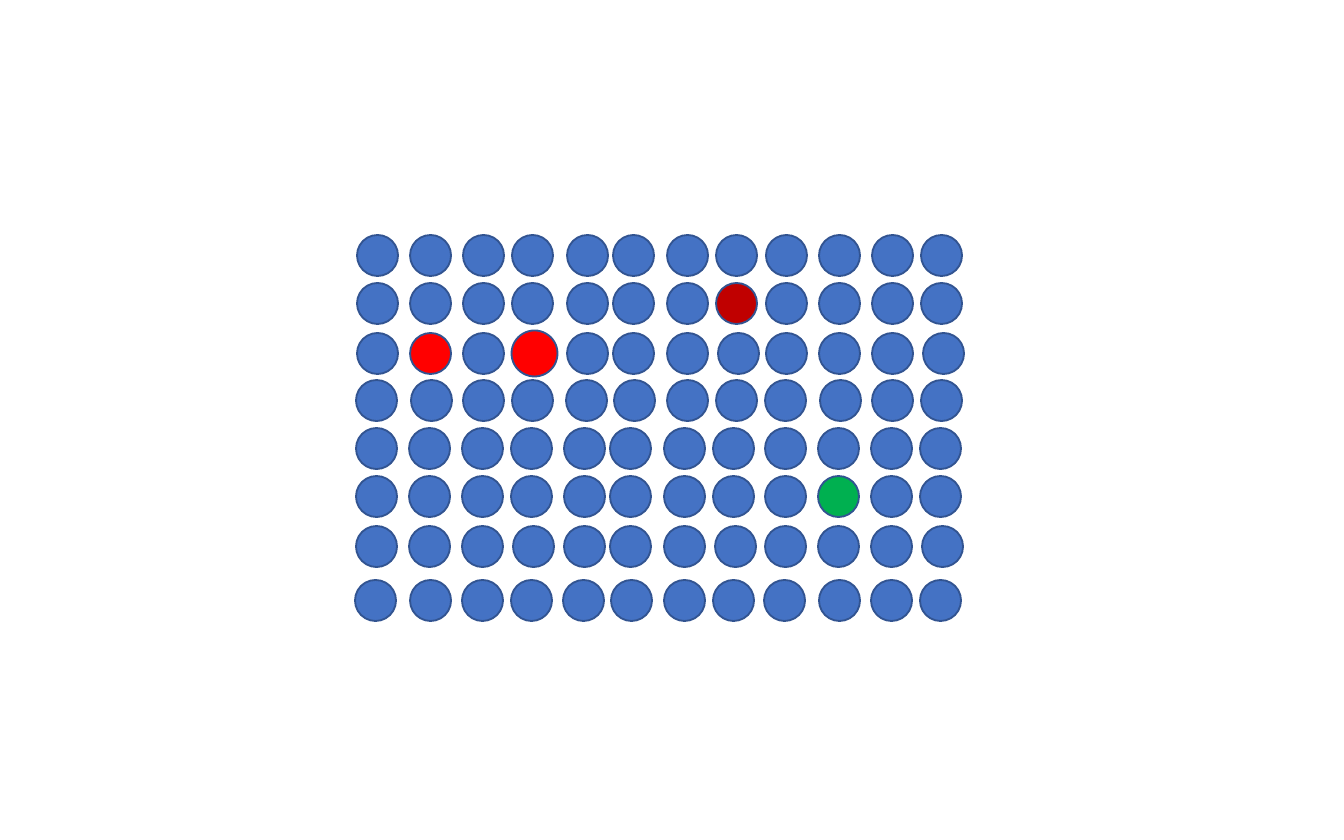
from dataclasses import dataclass

from pptx import Presentation
from pptx.dml.color import RGBColor
from pptx.enum.shapes import MSO_SHAPE
from pptx.util import Pt

OVAL = MSO_SHAPE.OVAL
PX = 914400 / 134.4
SLIDE_W, SLIDE_H = 1344, 840


@dataclass(frozen=True)
class Theme:
    dot: str = "4472C4"
    outline: str = "325491"
    red: str = "FF0000"
    dark_red: str = "C00000"
    green: str = "00B050"
    outline_width: float = 1


THEME = Theme()

# The wells stand in blocks of four columns by four rows.
BLOCK = 4
COLUMN_LEFTS = [357, 410, 463, 512, 567, 613, 667, 716, 766, 819, 872, 921]
ROW_TOPS = [235, 283, 333, 380, 428, 476, 526, 580]
DOT_SIZE, LARGE_DOT_SIZE = 41, 46

LOWER_BLOCK_SHIFTS = [-1, -3, -1]
# (row in block, column in block): sideways shift
NUDGES = {(2, 3): 2, (3, 0): -1, (3, 1): 1}

# (row, column): (fill, size)
MARKED_DOTS = {
    (1, 7): (THEME.dark_red, DOT_SIZE),
    (2, 1): (THEME.red, DOT_SIZE),
    (2, 3): (THEME.red, LARGE_DOT_SIZE),
    (5, 9): (THEME.green, DOT_SIZE),
}


def px(length):
    return round(length * PX)


def dot_left(row, column):
    """Left edge of the dot's cell, with the shifts of its block and place."""
    left = COLUMN_LEFTS[column] + NUDGES.get((row % BLOCK, column % BLOCK), 0)
    if row >= BLOCK:
        left += LOWER_BLOCK_SHIFTS[column // BLOCK]
    return left


def add_dot(shapes, row, column):
    fill, size = MARKED_DOTS.get((row, column), (THEME.dot, DOT_SIZE))
    inset = (DOT_SIZE - size) / 2
    dot = shapes.add_shape(
        OVAL,
        px(dot_left(row, column) + inset),
        px(ROW_TOPS[row] + inset),
        px(size),
        px(size),
    )
    dot.shadow.inherit = False
    dot.fill.solid()
    dot.fill.fore_color.rgb = RGBColor.from_string(fill)
    dot.line.color.rgb = RGBColor.from_string(THEME.outline)
    dot.line.width = Pt(THEME.outline_width)


def main():
    deck = Presentation()
    deck.slide_width, deck.slide_height = px(SLIDE_W), px(SLIDE_H)
    slide = deck.slides.add_slide(deck.slide_layouts[6])
    grid = slide.shapes.add_group_shape()
    for row in range(len(ROW_TOPS)):
        for column in range(len(COLUMN_LEFTS)):
            add_dot(grid.shapes, row, column)
    deck.save("out.pptx")


if __name__ == "__main__":
    main()
